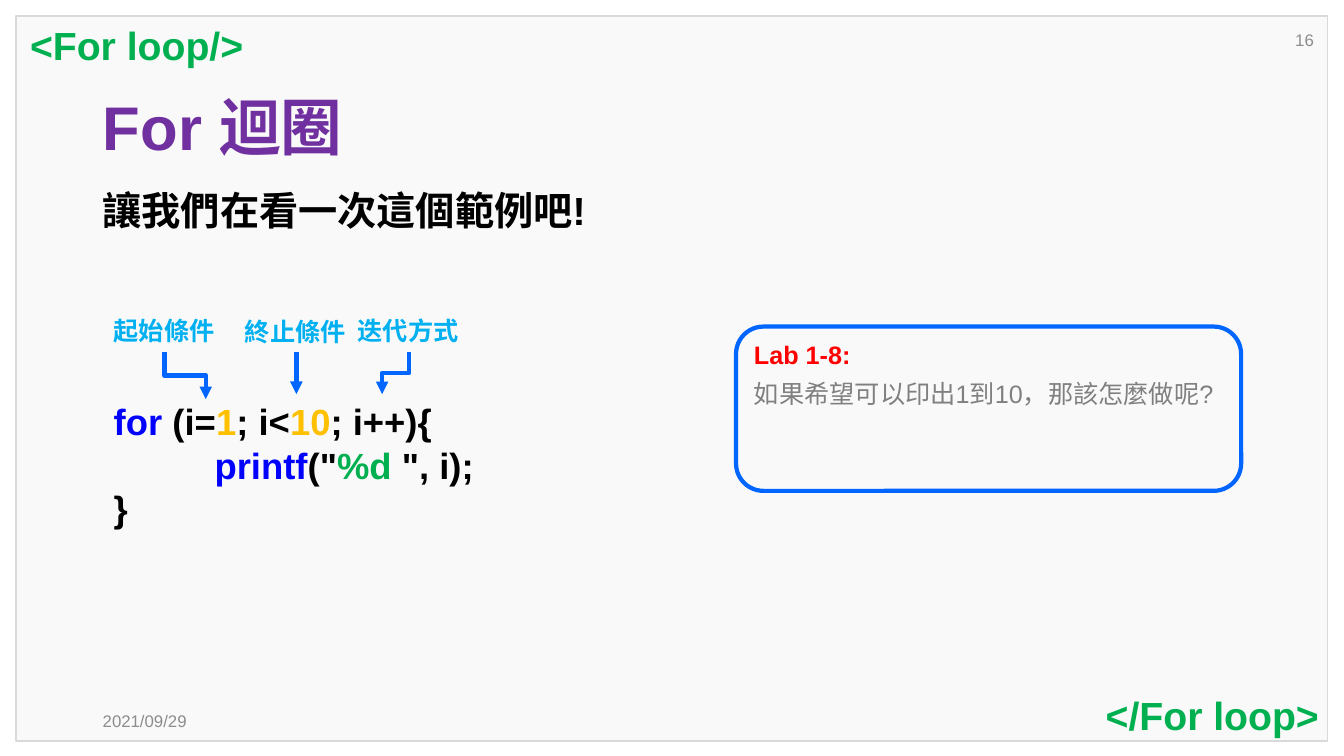
import pptx
import pptx.util
import pptx.dml.color
import pptx.enum.shapes
import pptx.enum.text
import pptx.oxml
import pptx.oxml.ns

Inches = pptx.util.Inches
Pt = pptx.util.Pt
Align = pptx.enum.text.PP_ALIGN
Anchor = pptx.enum.text.MSO_ANCHOR
Kind = pptx.enum.shapes.MSO_SHAPE
Line = pptx.enum.shapes.MSO_CONNECTOR


class Theme:
    font = "Arial"
    panel, border, muted, gray = "F9F9F9", "D9D9D9", "8C8C8C", "808080"
    purple, green, black, red = "7030A0", "00B050", "000000", "FF0000"
    blue, keyword, number, label = "0066FF", "0000FF", "FFC000", "00B0F0"
    small, body, code, heading, title = 12, 18, 26, 28, 44


TITLE = "For 迴圈"
SUBTITLE = "讓我們在看一次這個範例吧!"
TAGS = [
    ("<For loop/>", (0.2, 0.16, 2.34, 0.57), Align.LEFT),
    ("</For loop>", (10.84, 6.81, 2.34, 0.57), Align.RIGHT),
]
FOOTERS = [
    ("2021/09/29", (0.92, 6.95, 1.05, 0.4), Align.LEFT),
    ("16", (12.71, 0.2, 0.42, 0.4), Align.RIGHT),
]
CODE = [
    [("for ", Theme.keyword), ("(i=", Theme.black), ("1", Theme.number),
     ("; i<", Theme.black), ("10", Theme.number), ("; i++){", Theme.black)],
    [("\t", Theme.black), ("printf", Theme.keyword), ('("', Theme.black),
     ("%d", Theme.green), (' ", i);', Theme.black)],
    [("}", Theme.black)],
]
LOOP_PARTS = [
    ("起始條件", 1.03, 3.08, (1.63, 2.04, 3.96)),
    ("終止條件", 2.33, 3.09, (2.94, 2.94, 3.91)),
    ("迭代方式", 3.45, 3.08, (4.06, 3.79, 3.91)),
]
ARROW_TOP = 3.49
LAB_TITLE = "Lab 1-8:"
LAB_QUESTION = "如果希望可以印出1到10\uff0c那該怎麼做呢?"

presentation = pptx.Presentation()
presentation.slide_width, presentation.slide_height = Inches(13.33), Inches(7.5)
slide = presentation.slides.add_slide(presentation.slide_layouts[5])
namespace = pptx.oxml.ns.nsdecls("a")


def rgb(value):
    return pptx.dml.color.RGBColor.from_string(value)


def add_box(kind, box, fill=None, line=None, width=1):
    shape = slide.shapes.add_shape(kind, *map(Inches, box))
    shape.shadow.inherit = False
    if fill:
        shape.fill.solid()
        shape.fill.fore_color.rgb = rgb(fill)
    else:
        shape.fill.background()
    shape.line.color.rgb = rgb(line)
    shape.line.width = Pt(width)
    return shape


def add_text(text, box=None, shape=None, size=Theme.body, color=Theme.black, bold=True,
             align=Align.LEFT, anchor=Anchor.TOP, wrap=True, spacing=None, before=None,
             after=None, tab=None):
    if shape is None:
        shape = slide.shapes.add_textbox(*map(Inches, box))
    frame = shape.text_frame
    frame.word_wrap = wrap
    frame.auto_size = pptx.enum.text.MSO_AUTO_SIZE.NONE
    frame.vertical_anchor = anchor
    lines = text if isinstance(text, list) else [[(text, color)]]
    for runs in lines:
        paragraph = frame.add_paragraph() if frame.text else frame.paragraphs[0]
        paragraph.alignment = align
        if spacing:
            paragraph.line_spacing = spacing
        if before is not None:
            paragraph.space_before = Pt(before)
        if after is not None:
            paragraph.space_after = Pt(after)
        if tab:
            paragraph._p.get_or_add_pPr().append(pptx.oxml.parse_xml(
                f'<a:tabLst {namespace}><a:tab pos="{Inches(tab)}" algn="l"/></a:tabLst>'))
        for words, run_color in runs:
            run = paragraph.add_run()
            run.text = words
            run.font.name = Theme.font
            run.font.size = Pt(size)
            run.font.bold = bold
            run.font.color.rgb = rgb(run_color)
    return shape


def add_arrow(start_x, end_x, end_y):
    across, down = abs(end_x - start_x), end_y - ARROW_TOP
    if across == 0:
        connector = slide.shapes.add_connector(
            Line.STRAIGHT, Inches(start_x), Inches(ARROW_TOP), Inches(end_x), Inches(end_y))
    else:
        left = (start_x + end_x - down) / 2
        top = (ARROW_TOP + end_y - across) / 2
        connector = slide.shapes.add_connector(
            Line.ELBOW, Inches(left), Inches(top), Inches(left + down), Inches(top + across))
        transform = connector._element.spPr.find(pptx.oxml.ns.qn("a:xfrm"))
        rightward = end_x > start_x
        transform.set("rot", str((270 if rightward else 90) * 60000))
        if rightward:
            transform.set("flipH", "1")
    connector.line.color.rgb = rgb(Theme.blue)
    connector.line.width = Pt(3)
    connector.line._get_or_add_ln().append(
        pptx.oxml.parse_xml(f'<a:tailEnd {namespace} type="triangle"/>'))
    connector._element.spPr.append(pptx.oxml.parse_xml(f"<a:effectLst {namespace}/>"))


add_box(Kind.RECTANGLE, (0.16, 0.16, 13.01, 7.19), fill=Theme.panel, line=Theme.border)

title = slide.shapes.title
title.left, title.top, title.width, title.height = map(Inches, (0.92, 0.74, 10.74, 1.11))
slide.shapes._spTree.append(title._element)
add_text(TITLE, shape=title, size=Theme.title, color=Theme.purple, anchor=Anchor.MIDDLE, spacing=0.9)
add_text(SUBTITLE, (0.92, 1.85, 11.09, 0.68), size=Theme.heading,
         align=Align.JUSTIFY, spacing=0.9, before=10)

for text, box, align in FOOTERS:
    add_text(text, box, size=Theme.small, color=Theme.muted, bold=False,
             align=align, anchor=Anchor.MIDDLE)
for text, box, align in TAGS:
    add_text(text, box, size=Theme.heading, color=Theme.green, align=align, wrap=False)

lab = add_box(Kind.ROUNDED_RECTANGLE, (7.3, 3.24, 5.01, 1.63), line=Theme.blue, width=3)
add_text(LAB_TITLE, shape=lab, color=Theme.red, align=Align.JUSTIFY, after=6)
add_text(LAB_QUESTION, shape=lab, color=Theme.gray, bold=False, align=Align.JUSTIFY)

add_text(CODE, (1.03, 3.91, 3.97, 1.41), size=Theme.code, align=Align.JUSTIFY, tab=1)
for text, left, top, arrow in LOOP_PARTS:
    add_text(text, (left, top, 1.21, 0.4), color=Theme.label, wrap=False)
    add_arrow(*arrow)

presentation.save("out.pptx")
